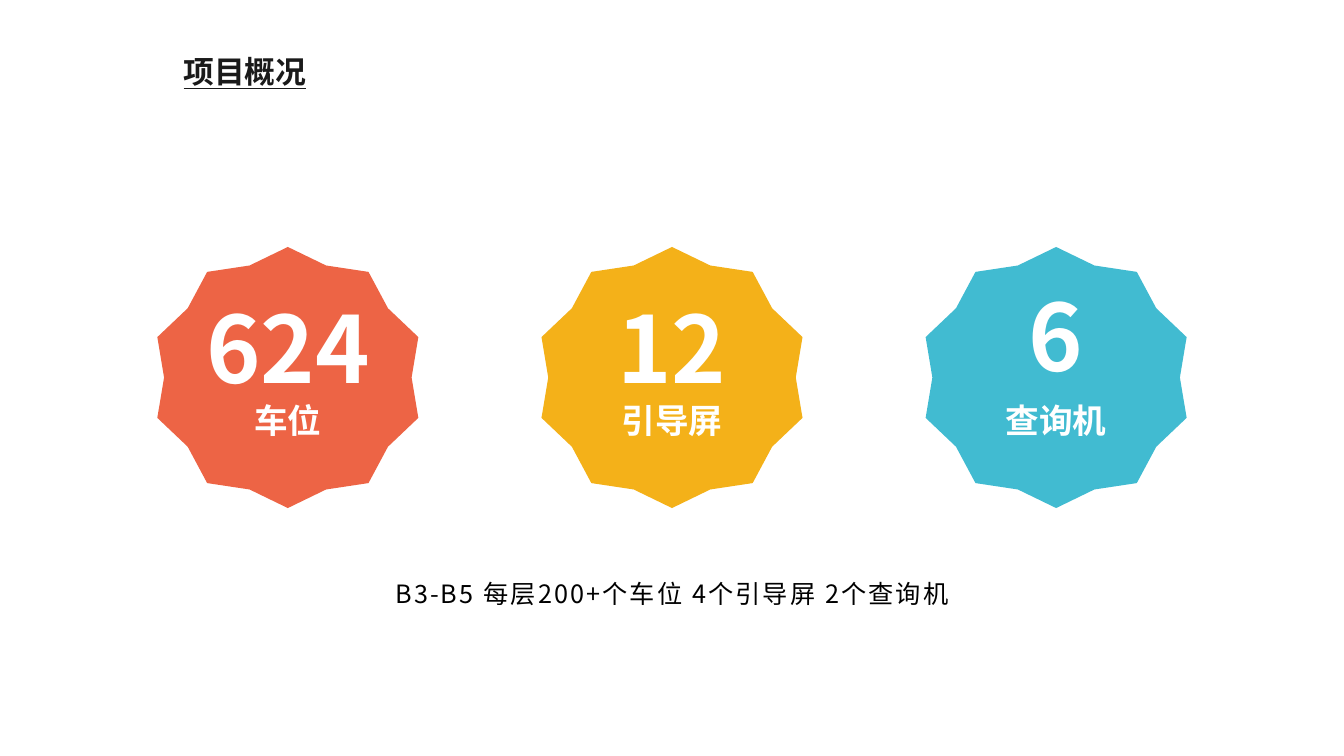
from pptx import Presentation
from pptx.dml.color import RGBColor
from pptx.enum.shapes import MSO_SHAPE
from pptx.enum.text import MSO_ANCHOR, MSO_AUTO_SIZE, PP_ALIGN as ALIGN
from pptx.oxml.ns import qn
from pptx.util import Inches, Pt
from lxml.etree import SubElement

FONT = "Noto Sans CJK SC"
LINE = 0.89  # tight leading for this tall font
COLORS = {
    "red": "ED6445",
    "yellow": "F4B119",
    "blue": "41BBD1",
    "white": "FFFFFF",
    "ink": "1A1A1A",
    "black": "000000",
}
# number, label, colour, distance of the number below the badge top
BADGES = [
    ("624", "车位", "red", 0.52),
    ("12", "引导屏", "yellow", 0.52),
    ("6", "查询机", "blue", 0.4),
]
BADGE_SIZE, BADGE_PITCH = 2.59, 3.81


def place(sp, left, top, width, height):
    sp.left, sp.top = Inches(left), Inches(top)
    sp.width, sp.height = Inches(width), Inches(height)


def write(sp, text, size, color, align=ALIGN.CENTER, bold=True, line=LINE):
    tf = sp.text_frame
    tf.text = text
    tf.word_wrap = True
    tf.auto_size = MSO_AUTO_SIZE.NONE
    tf.vertical_anchor = MSO_ANCHOR.TOP
    p = tf.paragraphs[0]
    p.alignment, p.line_spacing = align, line
    r = p.runs[0]
    r.font.name, r.font.size, r.font.bold = FONT, Pt(size), bold
    r.font.color.rgb = RGBColor.from_string(COLORS[color])
    SubElement(r.font._element, qn("a:ea")).set("typeface", FONT)
    return r


def add_text(slide, box, *args, **kwargs):
    sp = slide.shapes.add_textbox(*(Inches(v) for v in box))
    return write(sp, *args, **kwargs)


def add_title(slide, box, text):
    sp = slide.shapes.title
    place(sp, *box)
    r = write(sp, text, 22, "ink", align=ALIGN.JUSTIFY)
    r.font.underline = True


def add_badge(slide, left, top, number, label, color, number_drop):
    # Ten-pointed star
    size = Inches(BADGE_SIZE)
    sp = slide.shapes.add_shape(MSO_SHAPE.STAR_10_POINT, Inches(left), Inches(top), size, size)
    sp.adjustments[0], sp.adjustments[1] = 0.451, 1.051
    sp.shadow.inherit = False
    sp.fill.solid()
    sp.fill.fore_color.rgb = RGBColor.from_string(COLORS[color])
    sp.line.fill.background()

    # Number and label, centred on the star
    for text, pt, drop, width, height in (
        (number, 66, number_drop, 1.91, 1.21),
        (label, 24, 1.52, 1.71, 0.5),
    ):
        x = left + (BADGE_SIZE - width) / 2
        add_text(slide, (x, top + drop, width, height), text, pt, "white")


def add_caption(slide, box, text):
    r = add_text(slide, box, text, 18, "black", bold=False, line=1.5 * LINE)
    r.font._element.set("spc", "150")


def main():
    prs = Presentation()
    prs.slide_width, prs.slide_height = Inches(13.33), Inches(7.5)
    slide = prs.slides.add_slide(prs.slide_layouts.get_by_name("Title Only"))

    add_title(slide, (1.72, 0.52, 2.85, 0.47), "项目概况")
    for i, badge in enumerate(BADGES):
        add_badge(slide, 1.56 + i * BADGE_PITCH, 2.45, *badge)
    add_caption(slide, (3.33, 5.59, 6.67, 0.55), "B3-B5 每层200+个车位 4个引导屏 2个查询机")

    prs.save("out.pptx")


if __name__ == "__main__":
    main()
